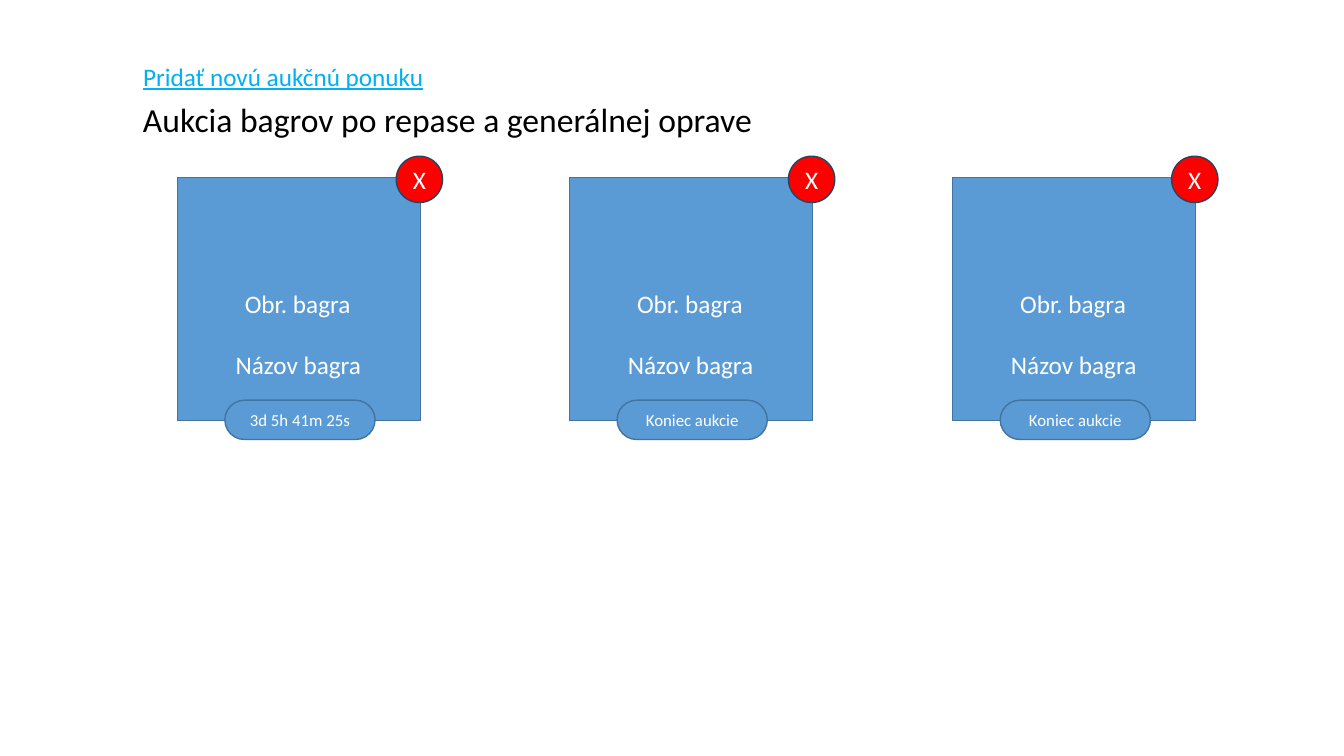
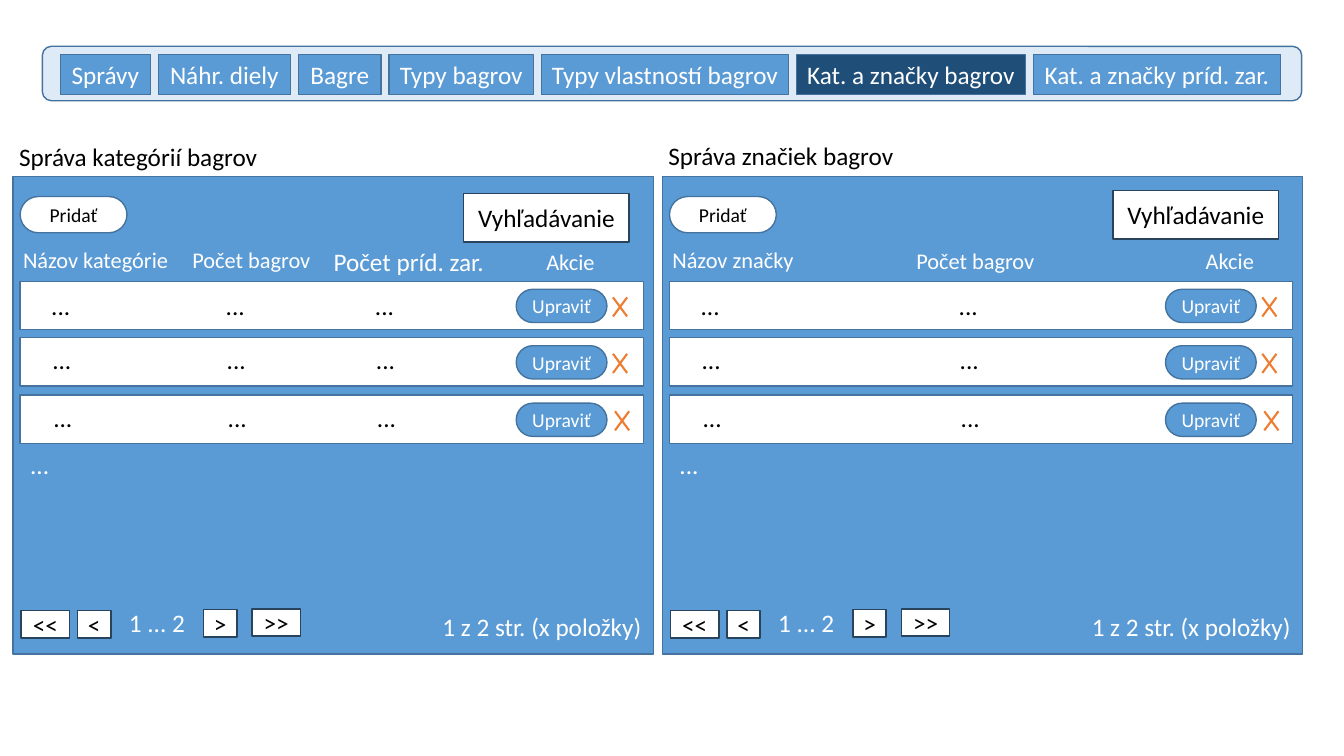
"""Build two wireframe slides for a digger auction site."""
from pptx import Presentation
from pptx.dml.color import RGBColor
from pptx.enum.shapes import MSO_CONNECTOR as Conn, MSO_SHAPE as Kind
from pptx.enum.text import MSO_ANCHOR as Anchor, PP_ALIGN as Align
from pptx.oxml.ns import qn
from pptx.util import Inches, Pt
from lxml.etree import SubElement

FONT = "Calibri"
BLUE = RGBColor(0x5B, 0x9B, 0xD5)
EDGE = RGBColor(0x43, 0x73, 0x9E)
DARK = RGBColor(0x28, 0x44, 0x5D)
NAVY = RGBColor(0x1F, 0x4E, 0x79)
PALE = RGBColor(0xDE, 0xEB, 0xF7)
LINK = RGBColor(0x00, 0xB0, 0xF0)
RED = RGBColor(0xFF, 0x00, 0x00)
ORANGE = RGBColor(0xED, 0x7D, 0x31)
WHITE = RGBColor(0xFF, 0xFF, 0xFF)
BLACK = RGBColor(0x00, 0x00, 0x00)

CARDS = [(1.76, "3d 5h 41m 25s"), (5.65, "Koniec aukcie"), (9.45, "Koniec aukcie")]
TABS = [("Správy", 0.89), ("Náhr. diely", 1.31), ("Bagre", 0.82),
        ("Typy bagrov", 1.43), ("Typy vlastností bagrov", 2.45),
        ("Kat. a značky bagrov", 2.27), ("Kat. a značky príd. zar.", 2.45)]
CHOSEN = "Kat. a značky bagrov"
ROWS = [(2.79, 2.83, 5.95), (3.35, 3.37, 5.95), (3.92, 3.94, 5.97)]
PAGERS = [("<<", 0.08, 6.06, 0.48), ("<", 0.64, 6.06, 0.33),
          (">", 1.89, 6.05, 0.33), (">>", 2.37, 6.04, 0.48)]


def write(shape, words, size=18, color=WHITE, align=Align.LEFT, wrap=False, under=None):
    frame = shape.text_frame
    frame.word_wrap = wrap
    para = frame.paragraphs[0]
    para.alignment = align
    run = para.add_run()
    run.text = words
    font = run.font
    font.name, font.size, font.underline = FONT, Pt(size), under
    font.color.rgb = color


def text(slide, words, x, y, w, h=0.4, **style):
    write(slide.shapes.add_textbox(*map(Inches, (x, y, w, h))), words, **style)


def box(slide, x, y, w, h, words="", kind=Kind.RECTANGLE, fill=BLUE, edge=EDGE, **style):
    shape = slide.shapes.add_shape(kind, *map(Inches, (x, y, w, h)))
    shape.shadow.inherit = False
    shape.fill.solid()
    shape.fill.fore_color.rgb = fill
    shape.line.color.rgb = edge
    shape.line.width = Pt(1)
    if words:
        frame = shape.text_frame
        frame.margin_left = frame.margin_right = 0
        frame.margin_top = frame.margin_bottom = 0
        frame.vertical_anchor = Anchor.MIDDLE
        write(shape, words, align=Align.CENTER, **style)
    return shape


def pill(slide, x, y, w, h, words, **style):
    shape = box(slide, x, y, w, h, words, kind=Kind.ROUNDED_RECTANGLE, **style)
    shape.adjustments[0] = 0.5


def cross(slide, x, y, w=0.14, h=0.19):
    for top, end in ((y, y + h), (y + h, y)):
        line = slide.shapes.add_connector(Conn.STRAIGHT, *map(Inches, (x, top, x + w, end)))
        line.line.color.rgb = ORANGE
        line.line.width = Pt(1.5)
        SubElement(line._element.spPr, qn("a:effectLst"))


def card(slide, x, state):
    box(slide, x, 1.76, 2.41, 2.41)
    text(slide, "Obr. bagra", x + 0.57, 2.81, 1.26)
    text(slide, "Názov bagra", x + 0.47, 3.42, 1.46, align=Align.CENTER)
    pill(slide, x + 0.47, 3.97, 1.49, 0.39, state, size=12)
    box(slide, x + 2.17, 1.55, 0.46, 0.46, "X", kind=Kind.OVAL, fill=RED, edge=DARK)


def menu(slide):
    box(slide, 0.42, 0.46, 12.49, 0.54, kind=Kind.ROUNDED_RECTANGLE, fill=PALE)
    x = 0.6
    for name, w in TABS:
        box(slide, x, 0.54, w, 0.4, name, fill=NAVY if name == CHOSEN else BLUE)
        x += w + 0.08


def panel(slide, x, title, top, find, heads, dots):
    text(slide, title, x - 0.04, top, 2.59, wrap=True, color=BLACK)
    box(slide, x, 1.75, 6.35, 4.74)
    pill(slide, x + 0.07, 1.95, 1.06, 0.36, "Pridať", fill=WHITE, size=14, color=BLACK)
    box(slide, x + 4.47, find, 1.64, 0.48, "Vyhľadávanie", fill=WHITE, edge=DARK, color=BLACK)
    for words, left, y, w, size in heads:
        text(slide, words, x + left, y, w, size=size, wrap=True)
    for i, (row, dot, mark) in enumerate(ROWS):
        box(slide, x + 0.07, row, 6.18, 0.48, fill=WHITE)
        pill(slide, x + 4.99, row + 0.08, 0.9, 0.33, "Upraviť", size=14)
        cross(slide, x + mark, row + 0.16)
        for left in dots:
            text(slide, "...", x + left + 0.01 * i, dot, 0.39, color=BLACK)
    text(slide, "...", x + 0.07, 4.41, 0.39)
    for sign, left, y, w in PAGERS:
        box(slide, x + left, y, w, 0.27, sign, fill=WHITE, edge=DARK, color=BLACK)
    text(slide, "1 ... 2", x + 1.05, 5.98, 0.77)
    text(slide, "1 z 2 str. (x položky)", x + 4.16, 6.02, 2.28, wrap=True)


def main():
    deck = Presentation()
    deck.slide_width, deck.slide_height = Inches(13.33), Inches(7.5)
    blank = deck.slide_layouts[6]

    sale = deck.slides.add_slide(blank)
    text(sale, "Pridať novú aukčnú ponuku", 1.32, 0.56, 3.02, color=LINK, under=True)
    text(sale, "Aukcia bagrov po repase a generálnej oprave", 1.32, 0.93, 6.3, 0.5,
         size=24, color=BLACK)
    for x, state in CARDS:
        card(sale, x, state)

    admin = deck.slides.add_slide(blank)
    menu(admin)
    panel(admin, 0.13, "Správa kategórií bagrov", 1.35, 1.92,
          [("Názov kategórie", 0, 2.39, 1.85, 16), ("Počet bagrov", 1.68, 2.39, 1.48, 16),
           ("Počet príd. zar.", 3.08, 2.39, 1.78, 18), ("Akcie", 5.19, 2.41, 0.73, 16)],
          (0.28, 2.01, 3.49))
    panel(admin, 6.57, "Správa značiek bagrov", 1.34, 1.89,
          [("Názov značky", 0, 2.39, 1.85, 16), ("Počet bagrov", 2.42, 2.4, 1.44, 16),
           ("Akcie", 5.29, 2.4, 0.73, 16)],
          (0.28, 2.84))
    deck.save("out.pptx")


if __name__ == "__main__":
    main()
